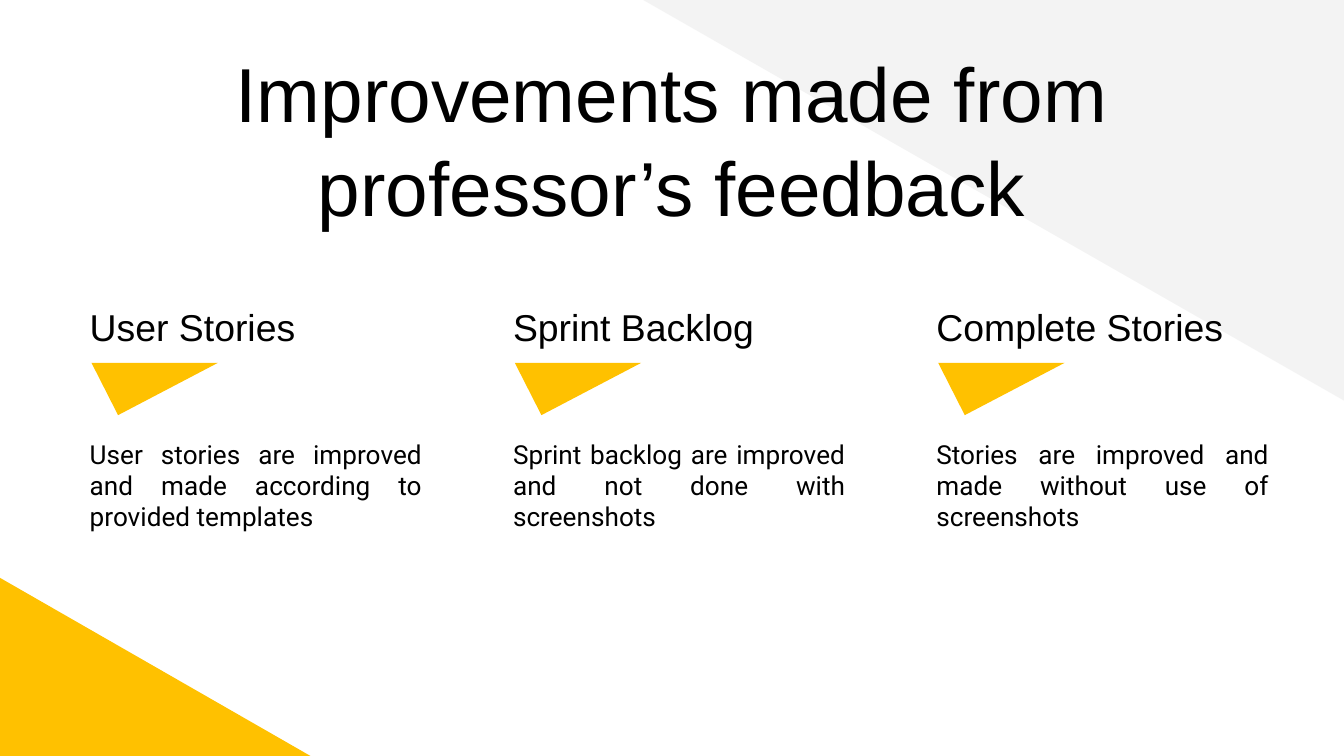
import pptx
import pptx.util
import pptx.dml.color
import pptx.enum.shapes
import pptx.enum.text
from dataclasses import dataclass

Pt = pptx.util.Pt
RGBColor = pptx.dml.color.RGBColor
Shape = pptx.enum.shapes.MSO_SHAPE
Align = pptx.enum.text.PP_ALIGN

BLACK = RGBColor(0x00, 0x00, 0x00)
WHITE = RGBColor(0xFF, 0xFF, 0xFF)
GREY = RGBColor(0xF3, 0xF3, 0xF3)
YELLOW = RGBColor(0xFF, 0xC1, 0x00)

FIRST_COLUMN = 41
COLUMN_PITCH = 226.8
INSET = 7.2


@dataclass
class Frame:
    left: float
    top: float
    width: float
    height: float

    def lengths(self) -> list:
        return [Pt(value) for value in (self.left, self.top, self.width, self.height)]


@dataclass
class Style:
    size: float
    font: str
    align: Align
    line_spacing: float = 1.0


@dataclass
class Improvement:
    heading: str
    heading_width: float
    detail: str


TITLE_STYLE = Style(41, "Arial", Align.CENTER, 1.03)
HEADING_STYLE = Style(20, "Arial", Align.LEFT, 1.15)
DETAIL_STYLE = Style(14, "Roboto", Align.JUSTIFY)

IMPROVEMENTS = [
    Improvement("User Stories", 147,
                "User stories are improved and made according to provided templates"),
    Improvement("Sprint Backlog", 147,
                "Sprint backlog are improved and not done with screenshots"),
    Improvement("Complete Stories", 176.4,
                "Stories are improved and made without use of screenshots"),
]


def draw_triangle(page, kind: Shape, frame: Frame, color: RGBColor, rotation: float = 0):
    triangle = page.shapes.add_shape(kind, *frame.lengths())
    triangle.shadow.inherit = False
    triangle.fill.solid()
    triangle.fill.fore_color.rgb = color
    triangle.line.fill.background()
    triangle.rotation = rotation
    return triangle


def write_text(box, text: str, style: Style, top_inset: float = INSET) -> None:
    frame = box.text_frame
    frame.word_wrap = True
    frame.auto_size = pptx.enum.text.MSO_AUTO_SIZE.NONE
    frame.vertical_anchor = pptx.enum.text.MSO_ANCHOR.TOP
    frame.margin_left = frame.margin_right = frame.margin_bottom = Pt(INSET)
    frame.margin_top = Pt(top_inset)
    para = frame.paragraphs[0]
    para.alignment = style.align
    para.line_spacing = style.line_spacing
    span = para.add_run()
    span.text = text
    span.font.size = Pt(style.size)
    span.font.name = style.font
    span.font.color.rgb = BLACK


def draw_improvement(page, item: Improvement, left: float) -> None:
    heading = page.shapes.add_textbox(*Frame(left, 152, item.heading_width, 39).lengths())
    write_text(heading, item.heading, HEADING_STYLE)
    marker = draw_triangle(page, Shape.ISOSCELES_TRIANGLE,
                           Frame(left + 8, 194.4, 67.7, 28), YELLOW, 180)
    marker.adjustments[0] = 0.79
    detail = page.shapes.add_textbox(*Frame(left, 227.5, 192.2, 78.5).lengths())
    write_text(detail, item.detail, DETAIL_STYLE)


def main() -> None:
    deck = pptx.Presentation()
    deck.slide_width, deck.slide_height = Pt(720), Pt(405)
    page = deck.slides.add_slide(deck.slide_layouts[5])
    page.background.fill.solid()
    page.background.fill.fore_color.rgb = WHITE

    # Corner decoration
    draw_triangle(page, Shape.RIGHT_TRIANGLE, Frame(343.4, -0.7, 376.6, 215.3), GREY, 180)
    draw_triangle(page, Shape.RIGHT_TRIANGLE, Frame(0, 309.6, 166.3, 95.4), YELLOW)

    # Title, brought in front of the decoration
    title = page.shapes.title
    title.left, title.top, title.width, title.height = Frame(41, 13, 638, 45.4).lengths()
    write_text(title, "Improvements made from professor’s feedback", TITLE_STYLE, 10)
    page.shapes._spTree.append(title._element)

    # Three columns
    for column, item in enumerate(IMPROVEMENTS):
        draw_improvement(page, item, FIRST_COLUMN + column * COLUMN_PITCH)

    deck.save("out.pptx")


if __name__ == "__main__":
    main()
